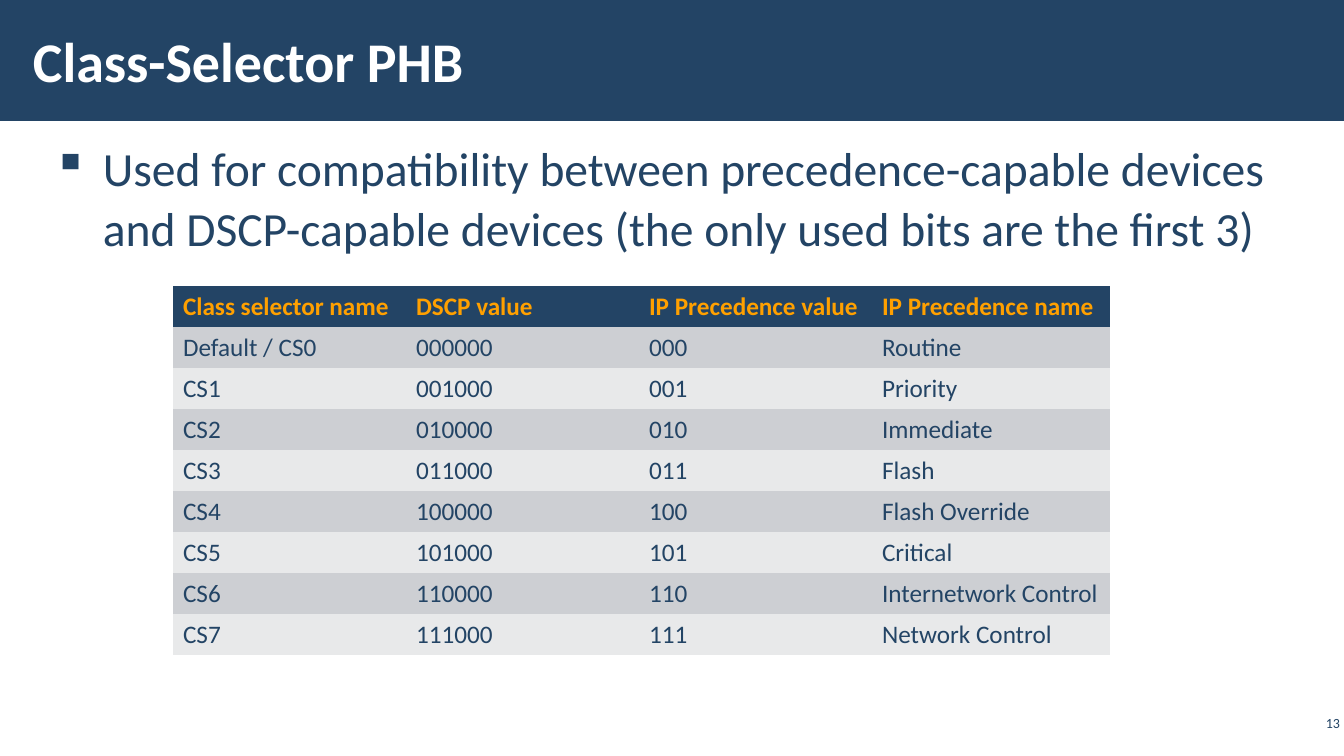
from lxml import etree
from pptx import Presentation
from pptx.dml.color import RGBColor
from pptx.enum.shapes import MSO_SHAPE
from pptx.enum.text import MSO_ANCHOR, PP_ALIGN
from pptx.oxml.ns import qn
from pptx.util import Pt

RECTANGLE = MSO_SHAPE.RECTANGLE
TOP, MIDDLE = MSO_ANCHOR.TOP, MSO_ANCHOR.MIDDLE
LEFT, RIGHT = PP_ALIGN.LEFT, PP_ALIGN.RIGHT
EMU_PER_PX = 914400 / 100.8
FONT = "Calibri"
PLAIN_TABLE_STYLE = "{2D5ABB26-0587-4C30-8999-92F81FD0307C}"
COLORS = {
    "navy": "234465",
    "white": "FFFFFF",
    "amber": "FFA000",
    "band_dark": "CDCFD3",
    "band_light": "E8E9EA",
}
HEADINGS = ["Class selector name", "DSCP value", "IP Precedence value", "IP Precedence name"]
PRECEDENCE_NAMES = [
    "Routine", "Priority", "Immediate", "Flash", "Flash Override",
    "Critical", "Internetwork Control", "Network Control",
]
COLUMN_WIDTHS = [233, 233, 233, 238]
ROW_HEIGHT = 41


def px(length):
    return round(length * EMU_PER_PX)


def color(name):
    return RGBColor.from_string(COLORS[name])


def write(frame, text, size=18, ink="navy", bold=False, align=LEFT,
          bullet=None, indent=0, line_spacing=None):
    paragraph = frame.paragraphs[0]
    paragraph.alignment = align
    if line_spacing:
        paragraph.line_spacing = line_spacing
    if bullet:
        properties = paragraph._p.get_or_add_pPr()
        properties.set("marL", str(px(indent)))
        properties.set("indent", str(-px(indent)))
        etree.SubElement(properties, qn("a:buChar")).set("char", bullet)
    run = paragraph.add_run()
    run.text = text
    run.font.name = FONT
    run.font.size = Pt(size)
    run.font.bold = bold
    run.font.color.rgb = color(ink)


def add_text(slide, box, text, anchor=TOP, side_inset=12, **text_format):
    frame = slide.shapes.add_textbox(*map(px, box)).text_frame
    frame.word_wrap = True
    frame.vertical_anchor = anchor
    frame.margin_left = frame.margin_right = px(side_inset)
    frame.margin_top = frame.margin_bottom = px(4)
    write(frame, text, **text_format)


def add_banner(slide, box):
    banner = slide.shapes.add_shape(RECTANGLE, *map(px, box))
    banner.shadow.inherit = False
    banner.fill.solid()
    banner.fill.fore_color.rgb = color("navy")
    banner.line.fill.background()


def fill_cell(cell, text, background, **text_format):
    cell.fill.solid()
    cell.fill.fore_color.rgb = color(background)
    cell.vertical_anchor = MIDDLE
    write(cell.text_frame, text, **text_format)


def selector_rows():
    for level, name in enumerate(PRECEDENCE_NAMES):
        selector = f"CS{level}" if level else "Default / CS0"
        yield [selector, f"{level:03b}000", f"{level:03b}", name]


def add_selector_table(slide, left, top):
    rows = [HEADINGS, *selector_rows()]
    table = slide.shapes.add_table(
        len(rows), len(HEADINGS), px(left), px(top),
        px(sum(COLUMN_WIDTHS)), px(ROW_HEIGHT * len(rows)),
    ).table
    table.horz_banding = False
    table._tbl.tblPr.find(qn("a:tableStyleId")).text = PLAIN_TABLE_STYLE
    for column, width in zip(table.columns, COLUMN_WIDTHS):
        column.width = px(width)
    for row_index, values in enumerate(rows):
        table.rows[row_index].height = px(ROW_HEIGHT)
        band = "band_dark" if row_index % 2 else "band_light"
        for column_index, value in enumerate(values):
            cell = table.cell(row_index, column_index)
            if row_index == 0:
                fill_cell(cell, value, "navy", ink="amber", bold=True)
            else:
                fill_cell(cell, value, band)


def main():
    presentation = Presentation()
    presentation.slide_width = px(1344)
    presentation.slide_height = px(756)
    slide = presentation.slides.add_slide(presentation.slide_layouts[6])
    add_banner(slide, (0, 0, 1344, 121))
    add_text(slide, (21, 11, 1048, 98), "Class-Selector PHB",
             anchor=MIDDLE, size=40, ink="white", bold=True)
    add_text(slide, (41, 132, 1303, 574),
             "Used for compatibility between precedence-capable devices "
             "and DSCP-capable devices (the only used bits are the first 3)",
             size=34, bullet="▪", indent=50, line_spacing=1.05)
    add_text(slide, (1296, 706, 48, 34), "13",
             anchor=MIDDLE, side_inset=4, size=10, align=RIGHT)
    add_selector_table(slide, 173, 286)
    presentation.save("out.pptx")


if __name__ == "__main__":
    main()
